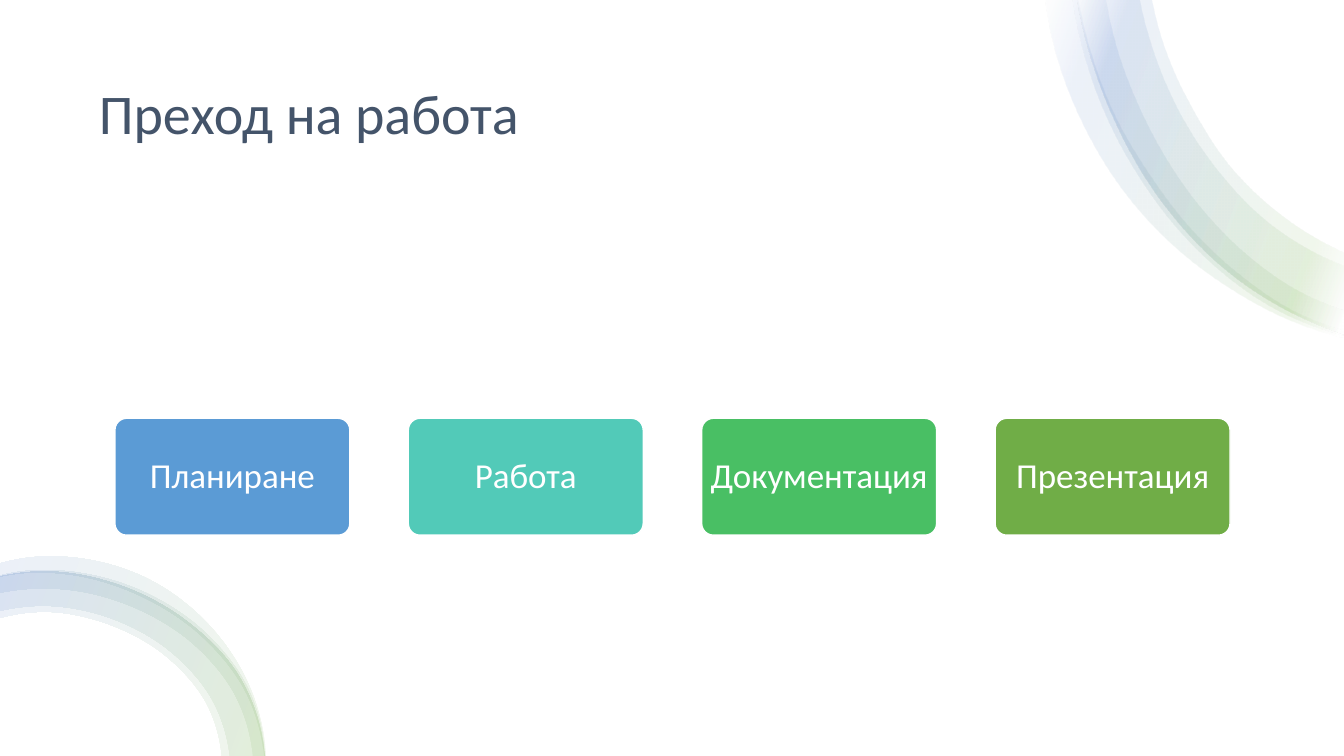
from dataclasses import dataclass
from math import dist

from lxml import etree
from pptx import Presentation
from pptx.dml.color import RGBColor
from pptx.enum.shapes import MSO_SHAPE
from pptx.enum.text import MSO_ANCHOR, PP_ALIGN
from pptx.oxml.ns import qn
from pptx.util import Inches, Pt

RECTANGLE, ROUNDED = MSO_SHAPE.RECTANGLE, MSO_SHAPE.ROUNDED_RECTANGLE
LEFT, CENTER = PP_ALIGN.LEFT, PP_ALIGN.CENTER
MIDDLE = MSO_ANCHOR.MIDDLE

TITLE = "Преход на работа"
STEPS = [
    ("Планиране", "5B9BD5"),
    ("Работа", "52CAB8"),
    ("Документация", "49BF64"),
    ("Презентация", "70AD47"),
]

# Each ribbon is an outer and an inner edge, as points in inches.
TOP_EDGE = [(13.33, 3.32), (12.23, 2.74), (11.52, 2.0), (11.0, 1.07),
            (10.67, -0.09)]
BOTTOM_EDGE = [(2.63, 7.5), (2.36, 6.69), (1.85, 6.16), (1.17, 5.8),
               (0.4, 5.67), (0, 5.72)]
TOP_RIBBONS = [
    ([(13.33, 3.35), (12.82, 3.19), (12.21, 2.87), (11.65, 2.45),
      (11.16, 1.92), (10.78, 1.31), (10.41, 0.26), (10.36, -0.09)],
     [(13.33, 3.28), (12.86, 3.1), (12.3, 2.73), (11.81, 2.27),
      (11.4, 1.73), (11.06, 1.15), (10.82, 0.52), (10.68, -0.09)]),
    (TOP_EDGE,
     [(13.33, 2.51), (12.61, 2.06), (12.19, 1.64), (11.85, 1.12),
      (11.58, 0.55), (11.41, -0.09)]),
    ([(13.33, 3.33), (12.79, 3.14), (11.73, 2.33), (11.32, 1.79),
      (10.99, 1.19), (10.63, -0.09)],
     [(13.33, 3.08), (12.9, 2.9), (12.39, 2.55), (11.95, 2.11),
      (11.29, 1.04), (11.07, 0.44), (10.96, -0.09)]),
    (TOP_EDGE,
     [(13.33, 2.64), (12.53, 2.17), (12.1, 1.72), (11.74, 1.19),
      (11.47, 0.59), (11.29, -0.09)]),
]
BOTTOM_RIBBONS = [
    (BOTTOM_EDGE,
     [(2.2, 7.5), (2.06, 7.0), (1.66, 6.52), (1.07, 6.19), (0.4, 6.07),
      (0, 6.13)]),
    (BOTTOM_EDGE,
     [(2.28, 7.5), (2.12, 6.97), (1.7, 6.47), (1.09, 6.13), (0.4, 6.01),
      (0, 6.06)]),
    ([(2.63, 7.5), (2.47, 6.85), (2.03, 6.27), (1.42, 5.87),
      (0.69, 5.67), (0.31, 5.66), (0, 5.71)],
     [(2.51, 7.5), (2.34, 6.91), (1.92, 6.39), (1.34, 6.03), (0.67, 5.85),
      (0.33, 5.84), (0, 5.88)]),
    ([(2.64, 7.5), (2.5, 6.87), (2.1, 6.23), (1.48, 5.75), (0.71, 5.53),
      (0.31, 5.53), (0, 5.59)],
     [(2.62, 7.5), (2.45, 6.89), (2.0, 6.31), (1.39, 5.91), (0.69, 5.7),
      (0.32, 5.68), (0, 5.72)]),
]


@dataclass(frozen=True)
class Theme:
    font: str = "Calibri"
    title_size: int = 40
    step_size: int = 25
    title_color: str = "44546A"
    white: str = "FFFFFF"
    top_stops: tuple = ((2, "FFFFFF"), (16, "70AD47"),
                        (85, "4472C4"), (100, "FFFFFF"))
    bottom_stops: tuple = ((0, "70AD47"), (100, "4472C4"))
    ribbon_opacity: int = 10
    ribbon_angle: int = 160


THEME = Theme()
SLIDE_WIDTH, SLIDE_HEIGHT = Inches(13.33), Inches(7.5)
STEP_LEFT, STEP_TOP, STEP_PITCH = 1.14, 4.15, 2.91
STEP_WIDTH, STEP_HEIGHT = 2.33, 1.16


def set_text(shape, text, *, size, color, align):
    frame = shape.text_frame
    frame.word_wrap = True
    frame.vertical_anchor = MIDDLE
    paragraph = frame.paragraphs[0]
    paragraph.alignment = align
    paragraph.line_spacing = 0.9
    run = paragraph.add_run()
    run.text = text
    run.font.name = THEME.font
    run.font.size = Pt(size)
    run.font.color.rgb = RGBColor.from_string(color)


def bezier_points(points):
    """Return the points with two Bezier handles between each pair."""
    lengths = [dist(a, b) for a, b in zip(points, points[1:])]
    chords = [((c - a) / length, (d - b) / length) for (a, b), (c, d), length
              in zip(points, points[1:], lengths)]
    tangents = [tuple((after * u + before * v) / (before + after)
                      for u, v in zip(first, second))
                for first, second, before, after
                in zip(chords, chords[1:], lengths, lengths[1:])]
    start = tuple(2 * u - v for u, v in zip(chords[0], tangents[0]))
    end = tuple(2 * u - v for u, v in zip(chords[-1], tangents[-1]))
    tangents = [start, *tangents, end]
    result = [points[0]]
    for index, length in enumerate(lengths):
        here, there = points[index], points[index + 1]
        result.append(tuple(p + t * length / 3
                            for p, t in zip(here, tangents[index])))
        result.append(tuple(p - t * length / 3
                            for p, t in zip(there, tangents[index + 1])))
        result.append(there)
    return result


def curve_lines(lines):
    """Turn every three line segments into one cubic curve."""
    for triple in zip(lines[::3], lines[1::3], lines[2::3]):
        curve = etree.Element(qn("a:cubicBezTo"))
        triple[0].addprevious(curve)
        for line in triple:
            curve.append(line[0])
            line.getparent().remove(line)


def fill_ribbon(shape, colors):
    """Apply a translucent gradient of several stops."""
    shape.fill.gradient()
    shape.fill.gradient_angle = THEME.ribbon_angle
    stops = shape.element.spPr.find(qn("a:gradFill")).find(qn("a:gsLst"))
    for stop in list(stops):
        stops.remove(stop)
    for position, color in colors:
        stop = etree.SubElement(stops, qn("a:gs"), pos=str(position * 1000))
        color_element = etree.SubElement(stop, qn("a:srgbClr"), val=color)
        etree.SubElement(color_element, qn("a:alpha"),
                         val=str(THEME.ribbon_opacity * 1000))


def add_ribbon(slide, outer, inner, colors):
    outer_curve = bezier_points(outer)
    outline = [(Inches(x), Inches(y))
               for x, y in outer_curve + bezier_points(inner)[::-1]]
    builder = slide.shapes.build_freeform(*outline[0])
    builder.add_line_segments(outline[1:], close=True)
    shape = builder.convert_to_shape()
    lines = list(shape.element.spPr.iter(qn("a:lnTo")))
    straight = len(outer_curve) - 1
    curve_lines(lines[:straight])
    curve_lines(lines[straight + 1:])
    shape.shadow.inherit = False
    shape.line.fill.background()
    fill_ribbon(shape, colors)


def add_box(slide, kind, left, top, width, height, color):
    shape = slide.shapes.add_shape(kind, left, top, width, height)
    shape.shadow.inherit = False
    shape.fill.solid()
    shape.fill.fore_color.rgb = RGBColor.from_string(color)
    return shape


def add_step(slide, index, label, color):
    shape = add_box(slide, ROUNDED, Inches(STEP_LEFT + index * STEP_PITCH),
                    Inches(STEP_TOP), Inches(STEP_WIDTH),
                    Inches(STEP_HEIGHT), color)
    shape.adjustments[0] = 0.1
    shape.line.color.rgb = RGBColor.from_string(THEME.white)
    shape.line.width = Pt(1)
    frame = shape.text_frame
    frame.margin_left = frame.margin_right = Inches(0.05)
    frame.margin_top = frame.margin_bottom = Inches(0.03)
    set_text(shape, label, size=THEME.step_size, color=THEME.white,
             align=CENTER)


def main():
    presentation = Presentation()
    presentation.slide_width = SLIDE_WIDTH
    presentation.slide_height = SLIDE_HEIGHT
    slide = presentation.slides.add_slide(presentation.slide_layouts[5])

    title = slide.shapes.title
    title.left, title.top = Inches(0.88), Inches(0.5)
    title.width, title.height = Inches(11.57), Inches(1.3)
    set_text(title, TITLE, size=THEME.title_size, color=THEME.title_color,
             align=LEFT)
    backdrop = add_box(slide, RECTANGLE, 0, 0, SLIDE_WIDTH, SLIDE_HEIGHT,
                       THEME.white)
    backdrop.line.fill.background()
    title.element.addprevious(backdrop.element)

    for ribbons, colors in ((TOP_RIBBONS, THEME.top_stops),
                            (BOTTOM_RIBBONS, THEME.bottom_stops)):
        for outer, inner in ribbons:
            add_ribbon(slide, outer, inner, colors)
    for index, (label, color) in enumerate(STEPS):
        add_step(slide, index, label, color)

    presentation.save("out.pptx")


if __name__ == "__main__":
    main()
